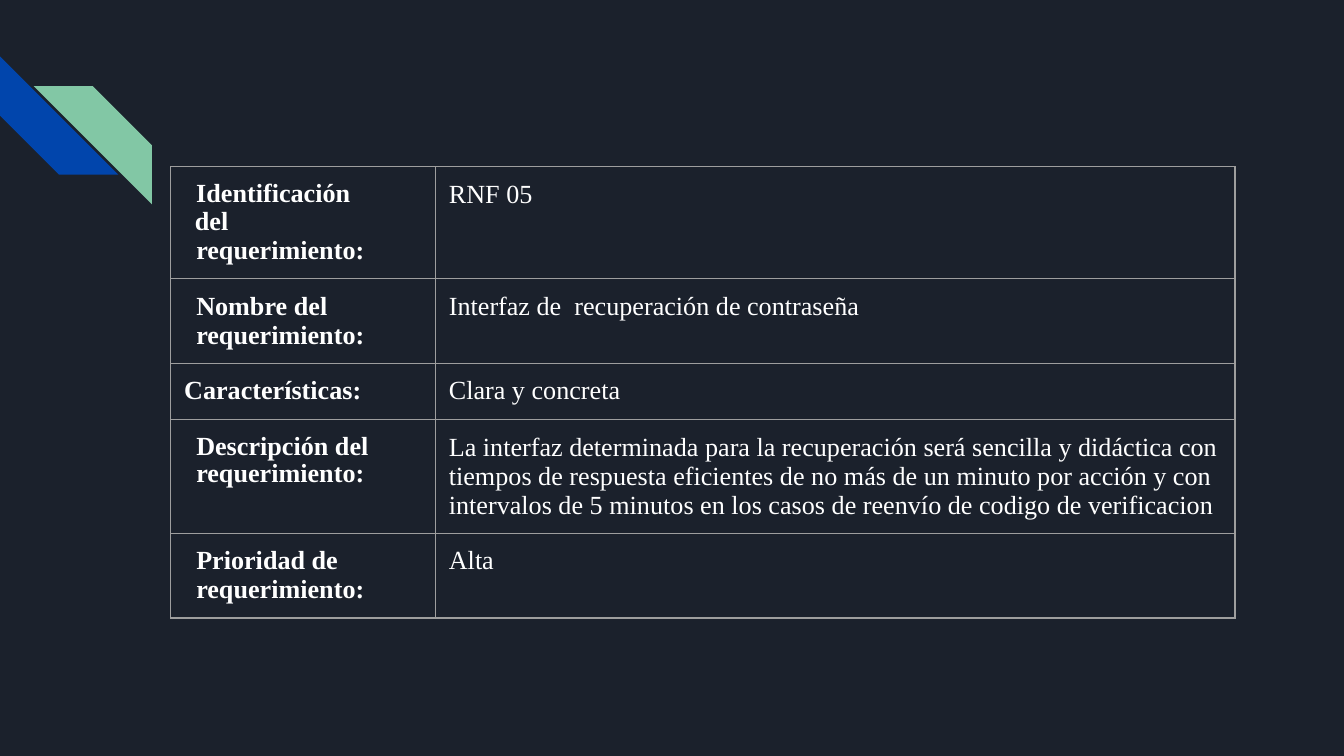
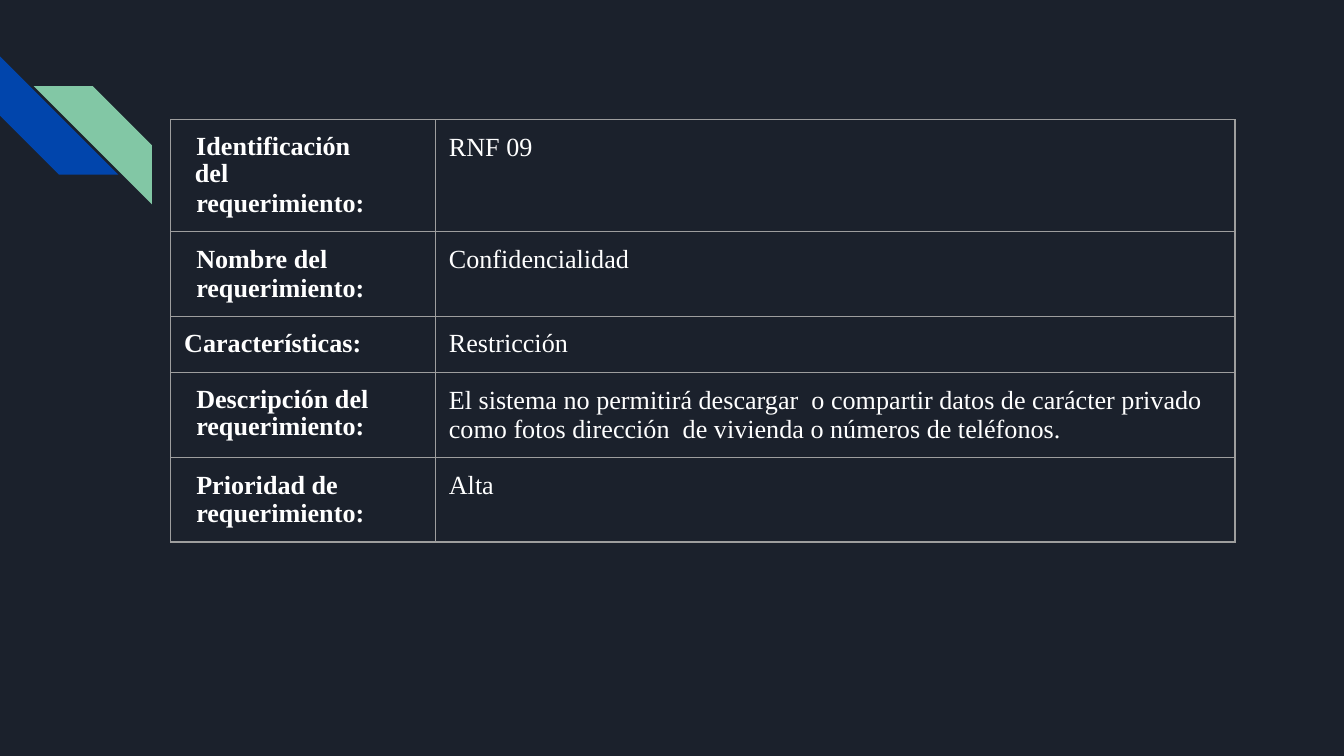
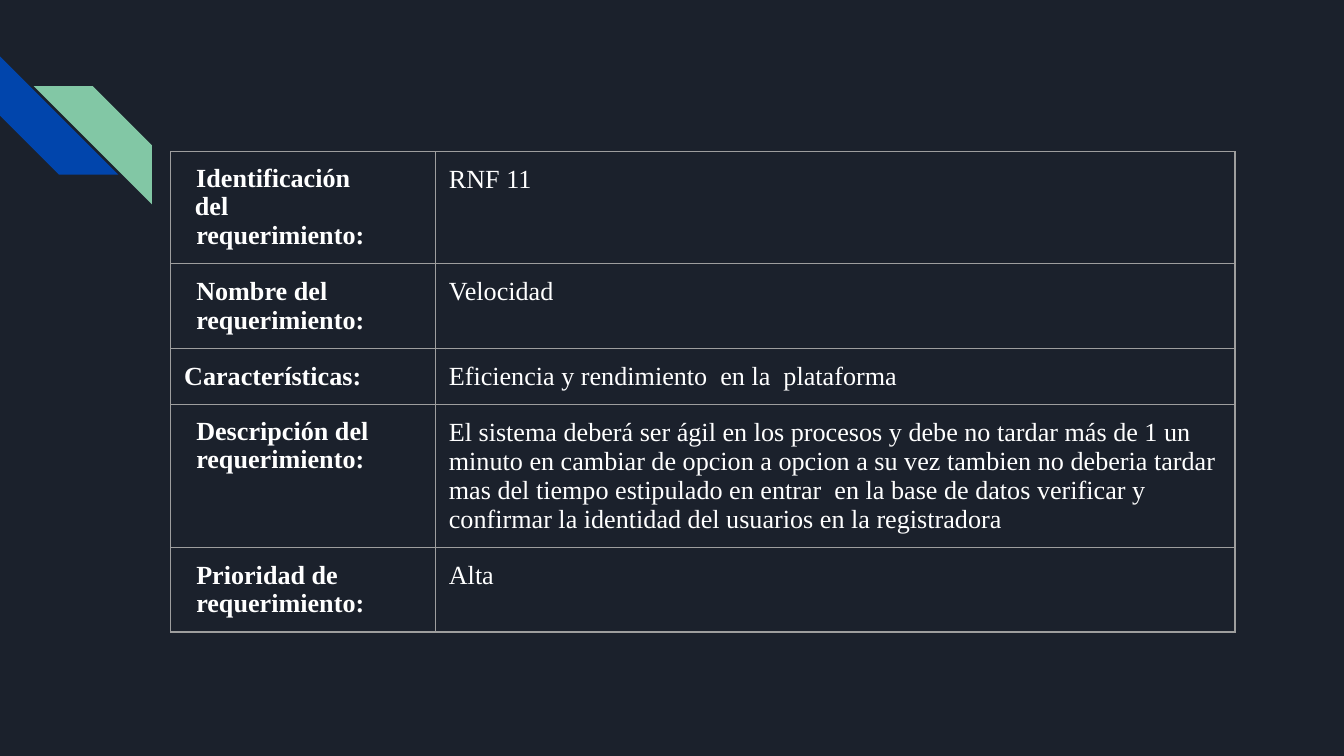
from lxml import etree
from pptx import Presentation
from pptx.dml.color import RGBColor
from pptx.enum import shapes
from pptx.oxml.ns import qn
from pptx.util import Inches, Pt

NAVY = RGBColor(0x1B, 0x21, 0x2C)
BLUE = RGBColor(0x01, 0x45, 0xAC)
GREEN = RGBColor(0x82, 0xC7, 0xA5)
GRAY = RGBColor(0x9E, 0x9E, 0x9E)
WHITE = RGBColor(0xFF, 0xFF, 0xFF)

FIRST = {"marL": 0.08, "indent": 0.01, "marR": 0.36}
INDENTED = {"marL": 0.09, "indent": 0}
TIGHT = {"line_spacing": 0.96}

LABELS = [
    [("Identificación  del", FIRST, TIGHT),
     ("requerimiento:", INDENTED, {"space_before": Pt(0.3)})],
    [("Nombre del", INDENTED, {}), ("requerimiento:", INDENTED, {})],
    [("Características:", {}, {})],
    [("Descripción del  requerimiento:", INDENTED, TIGHT)],
    [("Prioridad de", INDENTED, {}), ("requerimiento:", INDENTED, {})],
]

REQUIREMENTS = [
    (1.24, [
        "RNF 05",
        "Interfaz de  recuperación de contraseña",
        "Clara y concreta",
        "La interfaz determinada para la recuperación será sencilla y didáctica con "
        "tiempos de respuesta eficientes de no más de un minuto por acción y con "
        "intervalos de 5 minutos en los casos de reenvío de codigo de verificacion",
        "Alta",
    ]),
    (0.89, [
        "RNF 09",
        "Confidencialidad",
        "Restricción",
        "El sistema no permitirá descargar  o compartir datos de carácter privado "
        "como fotos dirección  de vivienda o números de teléfonos.",
        "Alta",
    ]),
    (1.13, [
        "RNF 11",
        "Velocidad",
        "Eficiencia y rendimiento  en la  plataforma",
        "El sistema deberá ser ágil en los procesos y debe no tardar más de 1 un "
        "minuto en cambiar de opcion a opcion a su vez tambien no deberia tardar "
        "mas del tiempo estipulado en entrar  en la base de datos verificar y "
        "confirmar la identidad del usuarios en la registradora",
        "Alta",
    ]),
]

STRIPES = [
    (0, 0.42, BLUE, {"rot": "16200000"}),
    (0.25, 0.64, GREEN, {"flipH": "1"}),
]
SLIDE_WIDTH = Inches(10)
SLIDE_HEIGHT = SLIDE_WIDTH * 9 // 16
STRIPE_SIZE = 0.88
TABLE_LEFT = 1.27
COLUMNS = (1.97, 5.95)
ROW_HEIGHT = 0.42
FONT = {"name": "Times New Roman", "size": Pt(14)}
MARGINS = {f"margin_{side}": Inches(0.1) for side in ("left", "right", "top", "bottom")}


def set_all(target, values):
    for name, value in values.items():
        setattr(target, name, value)


def add_stripes(slide, master):
    for i, (left, top, color, transform) in enumerate(STRIPES):
        sp = slide.shapes.add_shape(
            shapes.MSO_SHAPE.DIAGONAL_STRIPE, Inches(left), Inches(top),
            Inches(STRIPE_SIZE), Inches(STRIPE_SIZE))
        sp.shadow.inherit = False
        sp.fill.solid()
        sp.fill.fore_color.rgb = color
        sp.line.fill.background()
        for name, value in transform.items():
            sp.element.spPr.xfrm.set(name, value)
        sp.element.nvSpPr.cNvPr.id = 20 + i
        master.shapes.element.append(sp.element)


def add_borders(cell):
    tc_pr = cell._tc.get_or_add_tcPr()
    for side in ("lnL", "lnR", "lnT", "lnB"):
        ln = etree.SubElement(tc_pr, qn(f"a:{side}"), w=str(Pt(0.75)))
        fill = etree.SubElement(ln, qn("a:solidFill"))
        etree.SubElement(fill, qn("a:srgbClr"), val=str(GRAY))


def fill_cell(cell, paragraphs, bold):
    set_all(cell, MARGINS)
    add_borders(cell)
    cell.fill.background()
    tf = cell.text_frame
    for i, (words, indents, spacing) in enumerate(paragraphs):
        p = tf.add_paragraph() if i else tf.paragraphs[0]
        p_pr = p._p.get_or_add_pPr()
        for name, value in indents.items():
            p_pr.set(name, str(Inches(value)))
        set_all(p, spacing)
        r = p.add_run()
        r.text = words
        set_all(r.font, {**FONT, "bold": bold})
        r.font.color.rgb = WHITE


def add_requirement(slide, top, values):
    table = slide.shapes.add_table(
        len(LABELS), len(COLUMNS), Inches(TABLE_LEFT), Inches(top),
        Inches(sum(COLUMNS)), Inches(ROW_HEIGHT * len(LABELS))).table
    set_all(table, {"first_row": False, "horz_banding": False})
    for column, width in zip(table.columns, COLUMNS):
        column.width = Inches(width)
    for row, label, value in zip(table.rows, LABELS, values):
        row.height = Inches(ROW_HEIGHT)
        fill_cell(row.cells[0], label, True)
        fill_cell(row.cells[1], [(value, {}, {})], False)


def main():
    prs = Presentation()
    set_all(prs, {"slide_width": SLIDE_WIDTH, "slide_height": SLIDE_HEIGHT})
    master = prs.slide_master
    master.background.fill.solid()
    master.background.fill.fore_color.rgb = NAVY
    for i, (top, values) in enumerate(REQUIREMENTS):
        slide = prs.slides.add_slide(prs.slide_layouts[6])
        if i == 0:
            add_stripes(slide, master)
        add_requirement(slide, top, values)
    prs.save("out.pptx")


if __name__ == "__main__":
    main()
